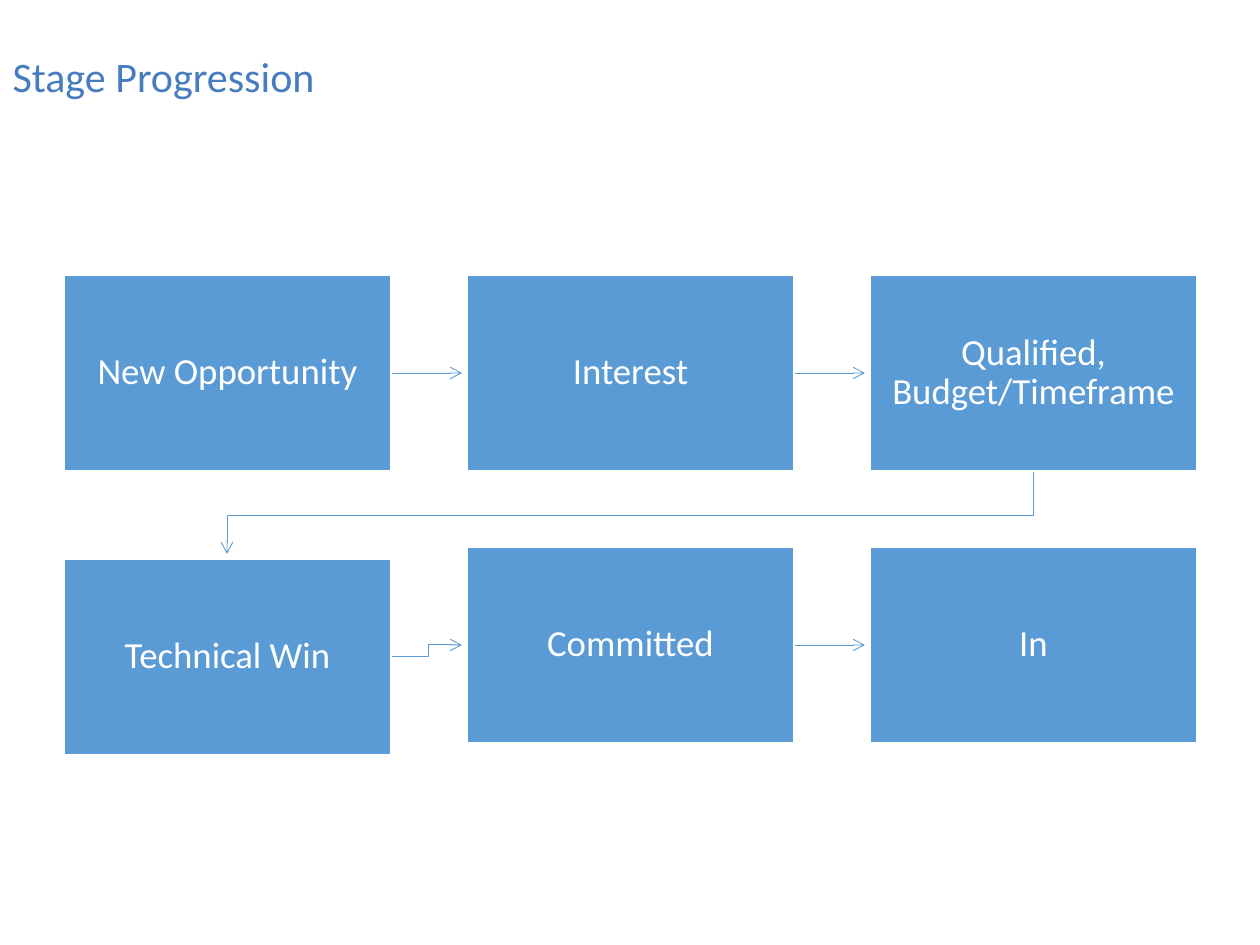
import pptx
import pptx.dml.color
import pptx.enum.shapes
import pptx.enum.text
import pptx.oxml
import pptx.oxml.ns
import pptx.util

PX = 914400 // 126
FONT = "Calibri"
COLORS = {"title": "467CC0", "stage": "5B9BD5", "white": "FFFFFF"}
STAGES = [
    ["New Opportunity", "Interest", "Qualified, Budget/Timeframe"],
    ["Technical Win", "Committed", "In"],
]
STAGE_WIDTH, STAGE_HEIGHT = 327, 196
COLUMN_PITCH = 403
ROW_TOPS = [[0, 0, 0], [284, 272, 272]]
ARROW_GAP = 5
TEXT_INSET = 20


def px(length):
    return pptx.util.Emu(length * PX)


def color(name):
    return pptx.dml.color.RGBColor.from_string(COLORS[name])


def format_paragraph(paragraph, size, color_name, alignment):
    paragraph.alignment = alignment
    paragraph.line_spacing = 0.9
    paragraph.font.name = FONT
    paragraph.font.size = pptx.util.Pt(size)
    paragraph.font.color.rgb = color(color_name)


def add_title(slide, left, top, width, height):
    title = slide.shapes.title
    title.left, title.top = px(left), px(top)
    title.width, title.height = px(width), px(height)
    title.text_frame.text = "Stage Progression"
    title.text_frame.vertical_anchor = pptx.enum.text.MSO_ANCHOR.MIDDLE
    format_paragraph(title.text_frame.paragraphs[0], 24, "title", pptx.enum.text.PP_ALIGN.LEFT)


def add_stage(slide, left, top, text):
    shape = slide.shapes.add_shape(
        pptx.enum.shapes.MSO_SHAPE.RECTANGLE,
        px(left), px(top), px(STAGE_WIDTH), px(STAGE_HEIGHT),
    )
    shape.shadow.inherit = False
    shape.fill.solid()
    shape.fill.fore_color.rgb = color("stage")
    shape.line.color.rgb = color("white")
    shape.line.width = pptx.util.Pt(1)
    frame = shape.text_frame
    frame.word_wrap = True
    frame.vertical_anchor = pptx.enum.text.MSO_ANCHOR.MIDDLE
    frame.margin_left = frame.margin_right = px(TEXT_INSET)
    frame.margin_top = frame.margin_bottom = px(TEXT_INSET)
    frame.text = text
    format_paragraph(frame.paragraphs[0], 21, "white", pptx.enum.text.PP_ALIGN.CENTER)


def add_arrow(slide, points):
    points = [(px(x), px(y)) for x, y in points]
    if len(points) == 2:
        arrow = slide.shapes.add_connector(
            pptx.enum.shapes.MSO_CONNECTOR.STRAIGHT, *points[0], *points[1]
        )
        pptx.oxml.ns.qn("a:effectLst")
        arrow._element.spPr.append(
            arrow._element.spPr.makeelement(pptx.oxml.ns.qn("a:effectLst"), {})
        )
    else:
        builder = slide.shapes.build_freeform(*points[0])
        builder.add_line_segments(points[1:], close=False)
        arrow = builder.convert_to_shape()
        arrow.shadow.inherit = False
        arrow.fill.background()
    arrow.line.color.rgb = color("stage")
    arrow.line.width = pptx.util.Pt(0.5)
    line = arrow.line._get_or_add_ln()
    line.append(line.makeelement(pptx.oxml.ns.qn("a:tailEnd"), {"type": "arrow"}))


def add_progression(slide, left, top):
    positions = [
        (left + column * COLUMN_PITCH, top + offset)
        for row in ROW_TOPS
        for column, offset in enumerate(row)
    ]
    names = [name for row in STAGES for name in row]
    for (x, y), (next_x, next_y) in zip(positions, positions[1:]):
        if next_x > x:
            start = (x + STAGE_WIDTH, y + STAGE_HEIGHT // 2)
            end = (next_x - ARROW_GAP, next_y + STAGE_HEIGHT // 2)
            bend = (start[0] + end[0]) // 2 + 2
            elbow = [(bend, start[1]), (bend, end[1])] if y != next_y else []
        else:
            start = (x + STAGE_WIDTH // 2, y + STAGE_HEIGHT)
            end = (next_x + STAGE_WIDTH // 2, next_y - ARROW_GAP)
            bend = (start[1] + end[1]) // 2 + 3
            elbow = [(start[0], bend), (end[0], bend)]
        add_arrow(slide, [start, *elbow, end])
    for (x, y), name in zip(positions, names):
        add_stage(slide, x, y, name)


def main():
    presentation = pptx.Presentation()
    presentation.slide_width, presentation.slide_height = px(1260), px(945)
    slide = presentation.slides.add_slide(presentation.slide_layouts[5])
    add_title(slide, 0, 0, 1260, 158)
    add_progression(slide, 64, 275)
    presentation.save("out.pptx")


if __name__ == "__main__":
    main()
